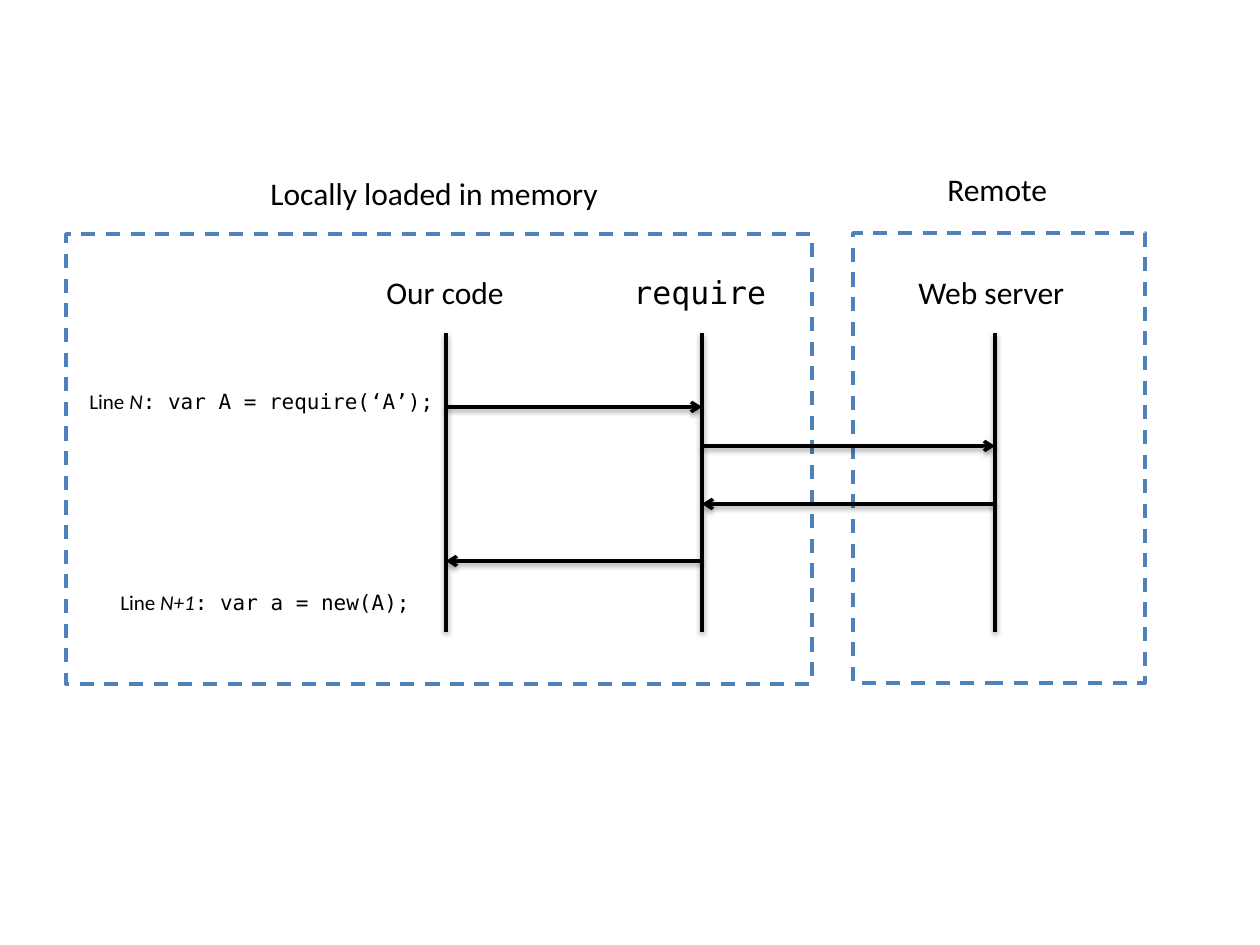
import lxml.etree
import pptx
import pptx.dml.color
import pptx.enum.dml
import pptx.enum.shapes
import pptx.enum.text
import pptx.oxml
import pptx.oxml.ns
import pptx.util

EMU_PER_PX = 914400 / 126
WHITE = pptx.dml.color.RGBColor(0xFF, 0xFF, 0xFF)
BLACK = pptx.dml.color.RGBColor(0x00, 0x00, 0x00)
BLUE = pptx.dml.color.RGBColor(0x4F, 0x81, 0xBD)
SANS = "Calibri"
MONO = "DejaVu Sans Mono"
SHADOW = (
    f'<a:effectLst {pptx.oxml.ns.nsdecls("a")}>'
    '<a:outerShdw blurRad="39370" dist="20320" dir="5400000" rotWithShape="0">'
    f'<a:srgbClr val="{BLACK}"><a:alpha val="38000"/></a:srgbClr>'
    "</a:outerShdw></a:effectLst>"
)


def px(length):
    return pptx.util.Emu(round(length * EMU_PER_PX))


class SequenceDiagram:
    """Draws sequence diagram elements on one slide in a shared style."""

    def __init__(self, slide):
        self.shapes = slide.shapes
        self.line_width = pptx.util.Pt(2)

    def frame(self, left, top, width, height):
        shape = self.shapes.add_shape(
            pptx.enum.shapes.MSO_SHAPE.RECTANGLE, px(left), px(top), px(width), px(height)
        )
        shape.shadow.inherit = False
        shape.fill.solid()
        shape.fill.fore_color.rgb = WHITE
        shape.line.color.rgb = BLUE
        shape.line.width = self.line_width
        shape.line.dash_style = pptx.enum.dml.MSO_LINE.DASH

    def text(self, left, top, width, height, size, runs):
        box = self.shapes.add_textbox(px(left), px(top), px(width), px(height))
        frame = box.text_frame
        frame.word_wrap = False
        frame.auto_size = pptx.enum.text.MSO_AUTO_SIZE.SHAPE_TO_FIT_TEXT
        paragraph = frame.paragraphs[0]
        for content, font, italic in runs:
            run = paragraph.add_run()
            run.text = content
            run.font.name = font
            run.font.size = pptx.util.Pt(size)
            run.font.italic = italic
            run.font.color.rgb = BLACK

    def title(self, left, top, width, content, font=SANS):
        self.text(left, top, width, 50, 18, [(content, font, False)])

    def code_line(self, left, top, width, number, code):
        runs = [("Line ", SANS, False), (number, SANS, True), (f": {code}", MONO, False)]
        self.text(left, top, width, 38, 12, runs)

    def line(self, start_x, start_y, end_x, end_y):
        connector = self.shapes.add_connector(
            pptx.enum.shapes.MSO_CONNECTOR.STRAIGHT,
            px(start_x), px(start_y), px(end_x), px(end_y),
        )
        connector.line.color.rgb = BLACK
        connector.line.width = self.line_width
        connector._element.spPr.append(pptx.oxml.parse_xml(SHADOW))
        return connector

    def lifeline(self, x):
        self.line(x, 333, x, 632)

    def message(self, start_x, end_x, y):
        connector = self.line(start_x, y, end_x, y)
        lxml.etree.SubElement(
            connector.line._get_or_add_ln(), pptx.oxml.ns.qn("a:tailEnd"), type="arrow"
        )


def main():
    presentation = pptx.Presentation()
    presentation.slide_width = pptx.util.Inches(10)
    presentation.slide_height = pptx.util.Inches(7.5)
    diagram = SequenceDiagram(presentation.slides.add_slide(presentation.slide_layouts[6]))

    diagram.frame(853, 233, 292, 450)
    diagram.frame(66, 234, 746, 450)
    diagram.title(258, 168, 357, "Locally loaded in memory")
    diagram.title(935, 164, 127, "Remote")

    our_code, require, web_server = 446, 702, 995
    participants = [
        (our_code, 374, 144, "Our code", SANS),
        (require, 621, 159, "require", MONO),
        (web_server, 906, 174, "Web server", SANS),
    ]
    for x, left, width, name, font in participants:
        diagram.lifeline(x)
        diagram.title(left, 267, width, name, font)

    diagram.code_line(77, 382, 372, "N", "var A = require(‘A’);")
    diagram.code_line(108, 583, 318, "N+1", "var a = new(A);")

    messages = [
        (our_code, require, 407),
        (require, web_server, 446),
        (web_server, require, 504),
        (require, our_code, 561),
    ]
    for sender, receiver, y in messages:
        diagram.message(sender, receiver, y)

    presentation.save("out.pptx")


if __name__ == "__main__":
    main()
